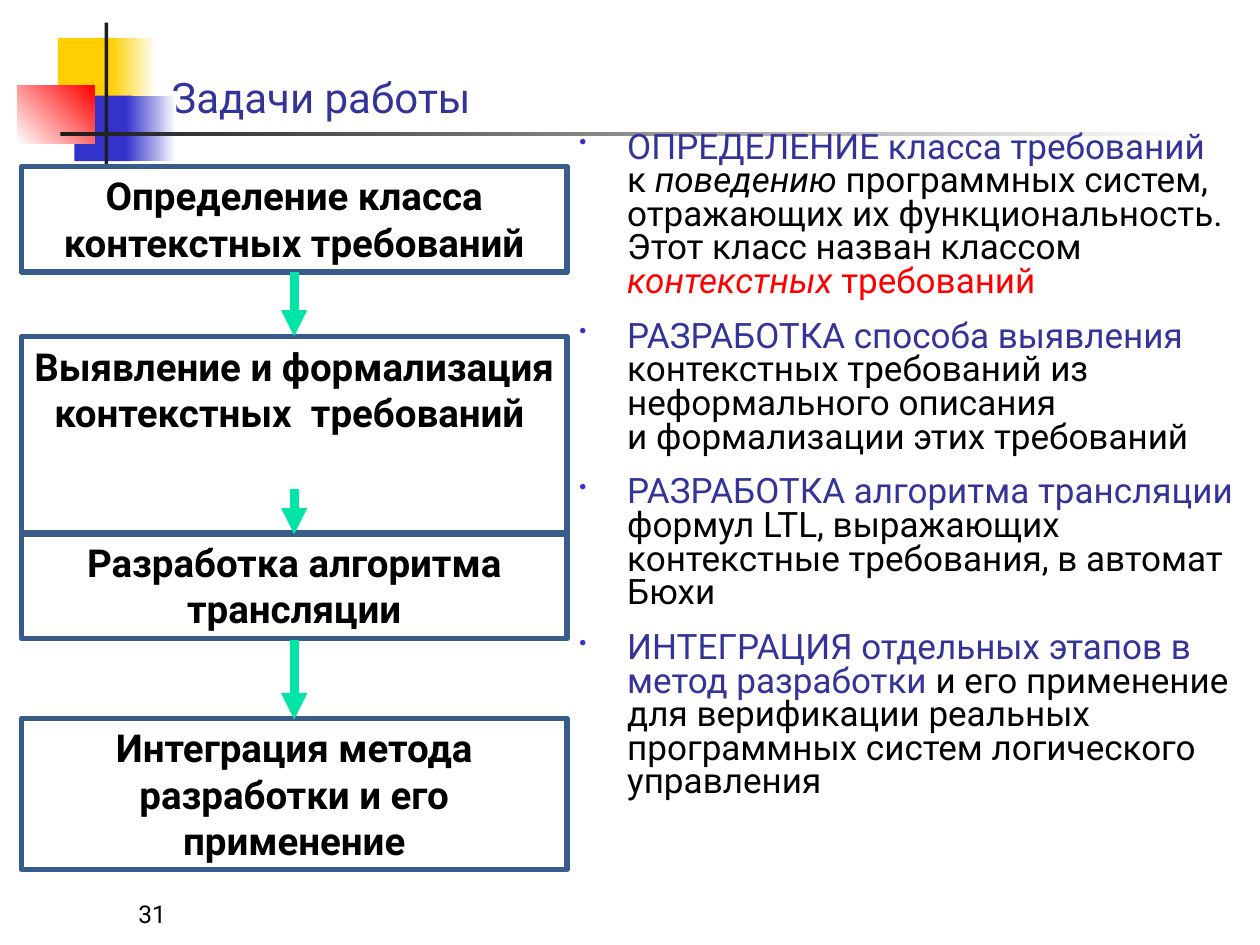
from dataclasses import dataclass

from lxml import etree
from pptx import Presentation
from pptx.dml.color import RGBColor
from pptx.enum.shapes import MSO_CONNECTOR, MSO_SHAPE
from pptx.enum.text import MSO_ANCHOR, MSO_AUTO_SIZE, PP_ALIGN
from pptx.oxml.ns import qn
from pptx.util import Inches, Pt

RECTANGLE = MSO_SHAPE.RECTANGLE
STRAIGHT = MSO_CONNECTOR.STRAIGHT
LEFT, CENTER = PP_ALIGN.LEFT, PP_ALIGN.CENTER
TOP, BOTTOM = MSO_ANCHOR.TOP, MSO_ANCHOR.BOTTOM


@dataclass(frozen=True)
class Theme:
    font: str = "Roboto"
    heading: str = "333399"
    text: str = "000000"
    accent: str = "FF0000"
    bullet: str = "3333CC"
    yellow: str = "FFCF01"
    blue: str = "3333CC"
    red: str = "FF0000"
    dark: str = "1C1C1C"
    white: str = "FFFFFF"
    box_line: str = "385D8B"
    arrow: str = "00E4A7"
    title_size: int = 24
    box_size: int = 22
    body_size: int = 20
    number_size: int = 14


THEME = Theme()

# Left, top, width, height, colours (two make a gradient), gradient angle
DECORATION = [
    (0.46, 0.3, 0.48, 0.52, [THEME.yellow], 0),
    (0.88, 0.3, 0.36, 0.52, [THEME.yellow, THEME.white], 0),
    (0.59, 0.76, 0.46, 0.52, [THEME.blue], 0),
    (1, 0.76, 0.4, 0.52, [THEME.blue, THEME.white], 0),
    (0.14, 0.68, 0.61, 0.46, [THEME.white, THEME.red], 45),
    (0.83, 0.18, 0.03, 1.15, [THEME.dark], 0),
    (0.48, 1.05, 9, 0.03, [THEME.dark, THEME.white], 0),
]

# Top, height, text
STEPS = [
    (1.32, 0.84, "Определение класса контекстных требований"),
    (2.67, 1.57, "Выявление и формализация контекстных  требований "),
    (4.23, 0.84, "Разработка алгоритма трансляции"),
    (5.7, 1.2, "Интеграция метода разработки и его применение"),
]
STEP_LEFT, STEP_WIDTH = 0.17, 4.33
ARROW_X = STEP_LEFT + STEP_WIDTH / 2
ARROWS = [(2.16, 2.67), (3.88, 4.24), (5.08, 5.71)]

# Each task is a list of runs: text, colour, italic
TASKS = [
    [
        ("ОПРЕДЕЛЕНИЕ класса требований \n", THEME.heading, False),
        ("к ", THEME.text, False),
        ("поведению ", THEME.text, True),
        ("программных систем, отражающих их функциональность. "
         "Этот класс назван классом ", THEME.text, False),
        ("контекстных ", THEME.accent, True),
        ("требований", THEME.accent, False),
    ],
    [
        ("РАЗРАБОТКА способа выявления ", THEME.heading, False),
        ("контекстных требований из неформального описания \n"
         "и формализации этих требований", THEME.text, False),
    ],
    [
        ("РАЗРАБОТКА алгоритма трансляции ", THEME.heading, False),
        ("формул LTL, выражающих контекстные требования, в автомат Бюхи",
         THEME.text, False),
    ],
    [
        ("ИНТЕГРАЦИЯ отдельных этапов в метод разработки ",
         THEME.heading, False),
        ("и его применение для верификации реальных программных систем "
         "логического управления", THEME.text, False),
    ],
]


def color(value):
    return RGBColor.from_string(value)


def format_run(run, size, run_color, bold=False, italic=False):
    font = run.font
    font.name, font.size = THEME.font, Pt(size)
    font.bold, font.italic = bold, italic
    font.color.rgb = color(run_color)


def set_text(shape, text, size, text_color, align=LEFT, anchor=BOTTOM, bold=False):
    frame = shape.text_frame
    frame.text = text
    frame.word_wrap = True
    frame.auto_size = MSO_AUTO_SIZE.NONE
    frame.vertical_anchor = anchor
    paragraph = frame.paragraphs[0]
    paragraph.alignment = align
    format_run(paragraph.runs[0], size, text_color, bold)


def place(shape, left, top, width, height):
    shape.left, shape.top = Inches(left), Inches(top)
    shape.width, shape.height = Inches(width), Inches(height)


def add_rectangle(slide, left, top, width, height):
    shape = slide.shapes.add_shape(
        RECTANGLE, Inches(left), Inches(top), Inches(width), Inches(height))
    shape.shadow.inherit = False
    return shape


def add_decoration(slide, left, top, width, height, colors, angle):
    shape = add_rectangle(slide, left, top, width, height)
    shape.line.fill.background()
    if len(colors) == 1:
        shape.fill.solid()
        shape.fill.fore_color.rgb = color(colors[0])
        return
    shape.fill.gradient()
    shape.fill.gradient_angle = angle
    for stop, position, value in zip(shape.fill.gradient_stops, (0, 1), colors):
        stop.position = position
        stop.color.rgb = color(value)


def add_step(slide, top, height, text):
    shape = add_rectangle(slide, STEP_LEFT, top, STEP_WIDTH, height)
    shape.fill.background()
    shape.line.color.rgb = color(THEME.box_line)
    shape.line.width = Pt(3)
    set_text(shape, text, THEME.box_size, THEME.text, CENTER, TOP, bold=True)


def add_arrow(slide, start, end):
    arrow = slide.shapes.add_connector(
        STRAIGHT, Inches(ARROW_X), Inches(start), Inches(ARROW_X), Inches(end))
    arrow.line.color.rgb = color(THEME.arrow)
    arrow.line.width = Pt(5)
    etree.SubElement(arrow.line._get_or_add_ln(), qn("a:tailEnd"), type="triangle")
    etree.SubElement(arrow._element.spPr, qn("a:effectLst"))


def add_bullet(paragraph):
    properties = paragraph._p.get_or_add_pPr()
    indent = Inches(0.38)
    properties.set("marL", str(indent))
    properties.set("indent", str(-indent))
    bullet_color = etree.SubElement(properties, qn("a:buClr"))
    etree.SubElement(bullet_color, qn("a:srgbClr"), val=THEME.bullet)
    etree.SubElement(properties, qn("a:buSzPct"), val="60000")
    etree.SubElement(properties, qn("a:buChar"), char="•")


def add_tasks(slide):
    box = slide.shapes.add_textbox(Inches(4.5), Inches(1), Inches(5.5), Inches(6.17))
    frame = box.text_frame
    frame.word_wrap = True
    for index, task in enumerate(TASKS):
        paragraph = frame.add_paragraph() if index else frame.paragraphs[0]
        add_bullet(paragraph)
        paragraph.line_spacing = 0.8
        paragraph.space_before = Pt(6 if index else 0)
        paragraph.space_after = Pt(6)
        for text, run_color, italic in task:
            for number, line in enumerate(text.split("\n")):
                if number:
                    paragraph.add_line_break()
                if line:
                    run = paragraph.add_run()
                    run.text = line
                    format_run(run, THEME.body_size, run_color, italic=italic)


def main():
    presentation = Presentation()
    presentation.slide_width, presentation.slide_height = Inches(10), Inches(7.5)
    slide = presentation.slides.add_slide(presentation.slide_layouts[5])

    # Corner decoration and title rule
    for item in DECORATION:
        add_decoration(slide, *item)

    # Title
    title = slide.shapes.title
    place(title, 1.26, 0.22, 8.52, 0.8)
    set_text(title, "Задачи работы", THEME.title_size, THEME.heading)

    # Task list and slide number
    add_tasks(slide)
    number = slide.shapes.add_textbox(Inches(1), Inches(6.92), Inches(2.08), Inches(0.5))
    set_text(number, "31", THEME.number_size, THEME.text)

    # Flow of steps
    for step in STEPS:
        add_step(slide, *step)
    for arrow in ARROWS:
        add_arrow(slide, *arrow)

    presentation.save("out.pptx")


if __name__ == "__main__":
    main()
